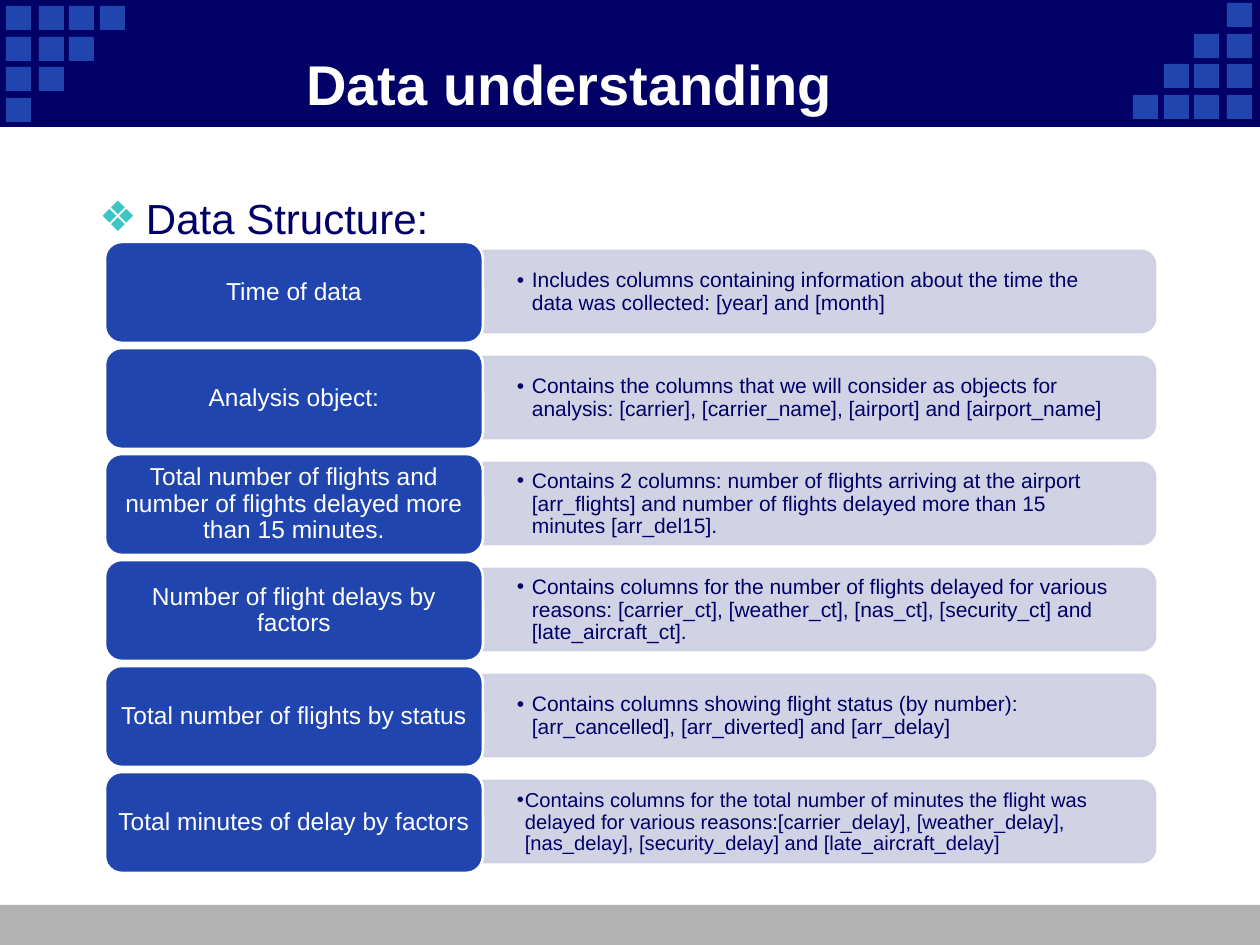
from dataclasses import dataclass

from lxml import etree
from pptx import Presentation
from pptx.dml.color import RGBColor
from pptx.enum.shapes import MSO_SHAPE
from pptx.enum.text import MSO_ANCHOR, MSO_AUTO_SIZE, PP_ALIGN
from pptx.oxml.ns import qn
from pptx.util import Emu, Pt

RECTANGLE = MSO_SHAPE.RECTANGLE
ROUNDED = MSO_SHAPE.ROUNDED_RECTANGLE
ROUNDED_TOP = MSO_SHAPE.ROUND_2_SAME_RECTANGLE
MIDDLE, TOP = MSO_ANCHOR.MIDDLE, MSO_ANCHOR.TOP
LEFT, CENTER = PP_ALIGN.LEFT, PP_ALIGN.CENTER
NO_AUTOFIT = MSO_AUTO_SIZE.NONE

PX_PER_INCH = 126
SLIDE_W, SLIDE_H = 1260, 945


@dataclass(frozen=True)
class Theme:
    font: str = "Arial"
    navy: str = "000066"
    blue: str = "2045AE"
    lavender: str = "CDCFE3"
    teal: str = "3DC5C5"
    gray: str = "B2B2B2"
    white: str = "FFFFFF"
    title_size: float = 32
    heading_size: float = 24
    label_size: float = 14
    detail_size: float = 12
    dense_size: float = 11.5
    panel_opacity: int = 90


THEME = Theme()

# Label, detail, detail type size, hanging indent of the bullet
ROWS = [
    ("Time of data",
     "Includes columns containing information about the time the data was "
     "collected: [year] and [month]", THEME.detail_size, 15),
    ("Analysis object:",
     "Contains the columns that we will consider as objects for analysis: "
     "[carrier], [carrier_name], [airport] and [airport_name]", THEME.detail_size, 15),
    ("Total number of flights and number of flights delayed more than 15 minutes.",
     "Contains 2 columns: number of flights arriving at the airport [arr_flights] "
     "and number of flights delayed more than 15 minutes [arr_del15].",
     THEME.detail_size, 15),
    ("Number of flight delays by factors",
     "Contains columns for the number of flights delayed for various reasons: "
     "[carrier_ct], [weather_ct], [nas_ct], [security_ct] and [late_aircraft_ct].",
     THEME.detail_size, 15),
    ("Total number of flights by status",
     "Contains columns showing flight status (by number): [arr_cancelled], "
     "[arr_diverted] and [arr_delay]", THEME.detail_size, 15),
    ("Total minutes of delay by factors",
     "Contains columns for the total number of minutes the flight was delayed for "
     "various reasons:[carrier_delay], [weather_delay], [nas_delay], "
     "[security_delay] and [late_aircraft_delay]", THEME.dense_size, 8),
]
ROW_TOP, ROW_PITCH = 242, 106


def px(length):
    return Emu(round(length * 914400 / PX_PER_INCH))


def rgb(color):
    return RGBColor.from_string(color)


def add_box(slide, preset, box, fill, line=None, line_pt=1.5):
    shape = slide.shapes.add_shape(preset, *map(px, box))
    shape.shadow.inherit = False
    shape.fill.solid()
    shape.fill.fore_color.rgb = rgb(fill)
    if line:
        shape.line.color.rgb = rgb(line)
        shape.line.width = Pt(line_pt)
    else:
        shape.line.fill.background()
    return shape


def set_opacity(shape, percent):
    """Make both the fill and the outline partly transparent."""
    for color in shape._element.spPr.iter(qn("a:srgbClr")):
        etree.SubElement(color, qn("a:alpha"), val=str(percent * 1000))


def set_bullet(paragraph, symbol, indent, color):
    props = paragraph._p.get_or_add_pPr()
    props.set("marL", str(px(indent)))
    props.set("indent", str(-px(indent)))
    bullet_color = etree.SubElement(props, qn("a:buClr"))
    etree.SubElement(bullet_color, qn("a:srgbClr"), val=color)
    etree.SubElement(props, qn("a:buFont"), typeface=THEME.font)
    etree.SubElement(props, qn("a:buChar"), char=symbol)


def write_text(shape, text, size, color, align=LEFT, anchor=MIDDLE, insets=(13, 6),
               spacing=0.9, after=0, bold=False, bullet=None):
    """Fill a shape with one paragraph; bullet is (symbol, indent, colour)."""
    frame = shape.text_frame
    frame.word_wrap = True
    frame.auto_size = NO_AUTOFIT
    frame.vertical_anchor = anchor
    frame.margin_left = frame.margin_right = px(insets[0])
    frame.margin_top = frame.margin_bottom = px(insets[1])
    paragraph = frame.paragraphs[0]
    if bullet:
        set_bullet(paragraph, *bullet)
    paragraph.alignment = align
    paragraph.line_spacing = spacing
    paragraph.space_after = Pt(after)
    run = paragraph.add_run()
    run.text = text
    run.font.name = THEME.font
    run.font.size = Pt(size)
    run.font.bold = bold
    run.font.color.rgb = rgb(color)


def add_corner_squares(slide):
    """Step the squares down from the left corner and turn them half round on the right."""
    lefts, tops = (6, 39, 69, 100), (6, 37, 67, 98)
    for row, y in enumerate(tops):
        for x in lefts[:len(lefts) - row]:
            add_box(slide, RECTANGLE, (x, y, 25, 24), THEME.blue)
            add_box(slide, RECTANGLE, (1233 - x, 101 - y, 25, 24), THEME.blue)


def add_title(slide, text):
    title = slide.shapes.title
    title.left, title.top, title.width, title.height = map(px, (116, 44, 907, 78))
    write_text(title, text, THEME.title_size, THEME.white, CENTER, spacing=1, bold=True)
    slide.shapes._spTree.append(title._element)  # in front of the header band


def add_heading(slide, text):
    heading = slide.shapes.add_textbox(*map(px, (86, 196, 1079, 49)))
    write_text(heading, text, THEME.heading_size, THEME.navy, anchor=TOP,
               spacing=0.8, bullet=("❖", 47, THEME.teal))


def add_row(slide, top, label, detail, detail_size, indent):
    left, width, height = 483, 672, 81
    turn_shift = (width - height) / 2
    panel = add_box(slide, ROUNDED_TOP,
                    (left + turn_shift, top + 9 - turn_shift, height, width),
                    THEME.lavender, THEME.lavender)
    panel.rotation = 90
    set_opacity(panel, THEME.panel_opacity)

    detail_box = slide.shapes.add_textbox(*map(px, (left, top + 14, 668, 73)))
    write_text(detail_box, detail, detail_size, THEME.navy, insets=(34, 18),
               after=1.8, bullet=("•", indent, THEME.navy))

    label_box = add_box(slide, ROUNDED, (105, top, 378, 101), THEME.blue, THEME.white)
    write_text(label_box, label, THEME.label_size, THEME.white, CENTER,
               insets=(8, 4), after=4.9)


def main():
    deck = Presentation()
    deck.slide_width, deck.slide_height = px(SLIDE_W), px(SLIDE_H)
    slide = deck.slides.add_slide(deck.slide_layouts[5])

    add_box(slide, RECTANGLE, (0, 905, SLIDE_W, 40), THEME.gray)
    add_box(slide, RECTANGLE, (0, 0, SLIDE_W, 126), THEME.navy, THEME.navy, 0.75)
    add_corner_squares(slide)
    add_title(slide, "Data understanding")
    add_heading(slide, "Data Structure:")
    for index, row in enumerate(ROWS):
        add_row(slide, ROW_TOP + index * ROW_PITCH, *row)

    deck.save("out.pptx")


if __name__ == "__main__":
    main()
